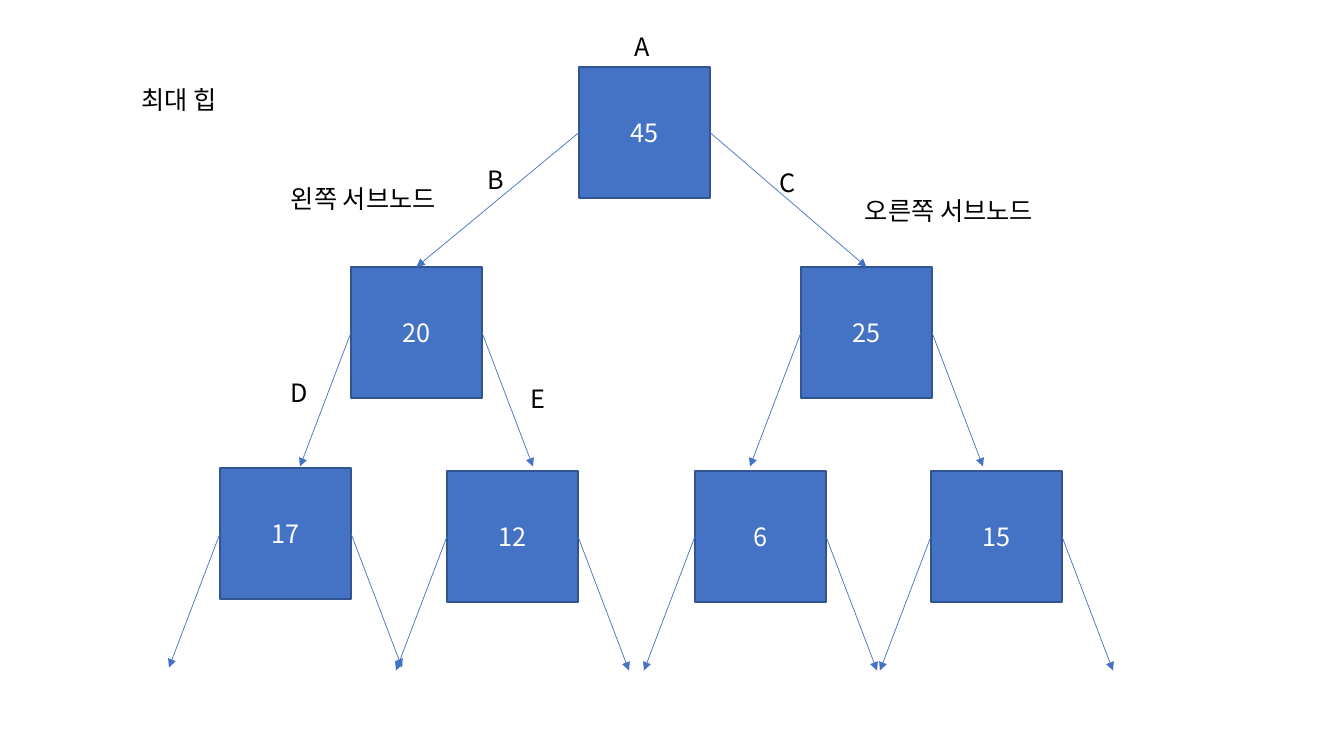
from lxml.etree import SubElement
from pptx import Presentation
from pptx.dml.color import RGBColor
from pptx.enum.shapes import MSO_CONNECTOR as Connector, MSO_SHAPE as Preset
from pptx.enum.text import MSO_ANCHOR as Anchor, MSO_AUTO_SIZE as AutoSize, PP_ALIGN as Align
from pptx.oxml.ns import qn
from pptx.util import Pt

PIXEL = 914400 / 100.8
FONT = "Noto Sans CJK KR"
BLUE, EDGE, WHITE, BLACK = "4472C4", "325491", "FFFFFF", "000000"
NODE = 131
REACH, DROP = 51, 134
TOP, LEFT, RIGHT = 0, 1, 3  # connection sites of a rectangle

# value: (left, top) in the tree
NODES = {
    "45": (410, 41),
    "20": (182, 241), "25": (632, 241),
    "17": (51, 442), "12": (278, 445), "6": (526, 445), "15": (762, 445),
}
ROOT, LEFT_CHILD, RIGHT_CHILD = "45", "20", "25"

# text: (left, top, width) in the tree
LABELS = {
    "왼쪽 서브노드": (112, 152, 183), "오른쪽 서브노드": (686, 164, 208),
    "A": (456, 0, 37), "B": (309, 133, 35), "C": (601, 136, 36),
    "D": (112, 346, 38), "E": (352, 352, 33),
}
LABEL_HEIGHT = 40


def emu(pixels):
    """Turn pixels into EMU."""
    return round(pixels * PIXEL)


def colour(value):
    """Turn a hex string into a colour."""
    return RGBColor.from_string(value)


def add_text(shape, text, text_colour, align):
    """Write one run in the slide's font."""
    paragraph = shape.text_frame.paragraphs[0]
    paragraph.alignment = align
    run = paragraph.add_run()
    run.text = text
    run.font.size = Pt(18)
    run.font.color.rgb = colour(text_colour)
    run.font.name = FONT
    SubElement(run.font._element, qn("a:ea"), typeface=FONT)


def format_label(shape, text):
    """Fill a text shape that fits its single unwrapped line."""
    frame = shape.text_frame
    frame.word_wrap = False
    frame.auto_size = AutoSize.SHAPE_TO_FIT_TEXT
    frame.vertical_anchor = Anchor.TOP
    add_text(shape, text, BLACK, Align.LEFT)


def add_title(slide, left, top, width, height):
    """Place the title in its box."""
    title = slide.shapes.title
    title.left, title.top, title.width, title.height = map(emu, (left, top, width, height))
    format_label(title, "최대 힙")


def add_node(slide, value, left, top):
    """Draw one square of the heap."""
    node = slide.shapes.add_shape(Preset.RECTANGLE, *map(emu, (left, top, NODE, NODE)))
    node.shadow.inherit = False
    node.fill.solid()
    node.fill.fore_color.rgb = colour(BLUE)
    node.line.color.rgb = colour(EDGE)
    node.line.width = Pt(1)
    node.text_frame.vertical_anchor = Anchor.MIDDLE
    add_text(node, value, WHITE, Align.CENTER)
    return node


def add_arrow(slide, parent, site, child=None):
    """Draw an arrow from a node's side to its child, or to a free end."""
    start = parent.left if site == LEFT else parent.left + parent.width
    middle = parent.top + parent.height // 2
    end = start + emu(-REACH if site == LEFT else REACH)
    arrow = slide.shapes.add_connector(
        Connector.STRAIGHT, start, middle, end, middle + emu(DROP))
    arrow.begin_connect(parent, site)
    if child is not None:
        arrow.end_connect(child, TOP)
    arrow.line.color.rgb = colour(BLUE)
    arrow.line.width = Pt(0.5)
    SubElement(arrow.line._get_or_add_ln(), qn("a:tailEnd"), type="triangle")
    SubElement(arrow._element.spPr, qn("a:effectLst"))


def add_tree(slide, left, top):
    """Draw the heap with its arrows and labels."""
    nodes = {value: add_node(slide, value, left + x, top + y)
             for value, (x, y) in NODES.items()}
    children = {(ROOT, LEFT): nodes[LEFT_CHILD], (ROOT, RIGHT): nodes[RIGHT_CHILD]}
    for value, node in nodes.items():
        for site in (RIGHT, LEFT):
            add_arrow(slide, node, site, children.get((value, site)))
    for text, (x, y, width) in LABELS.items():
        label = slide.shapes.add_textbox(
            *map(emu, (left + x, top + y, width, LABEL_HEIGHT)))
        format_label(label, text)


def main():
    """Build the slide and save it."""
    presentation = Presentation()
    presentation.slide_width, presentation.slide_height = emu(1344), emu(756)
    slide = presentation.slides.add_slide(presentation.slide_layouts[5])
    add_title(slide, 131, 79, 106, LABEL_HEIGHT)
    add_tree(slide, 169, 26)
    presentation.save("out.pptx")


main()
